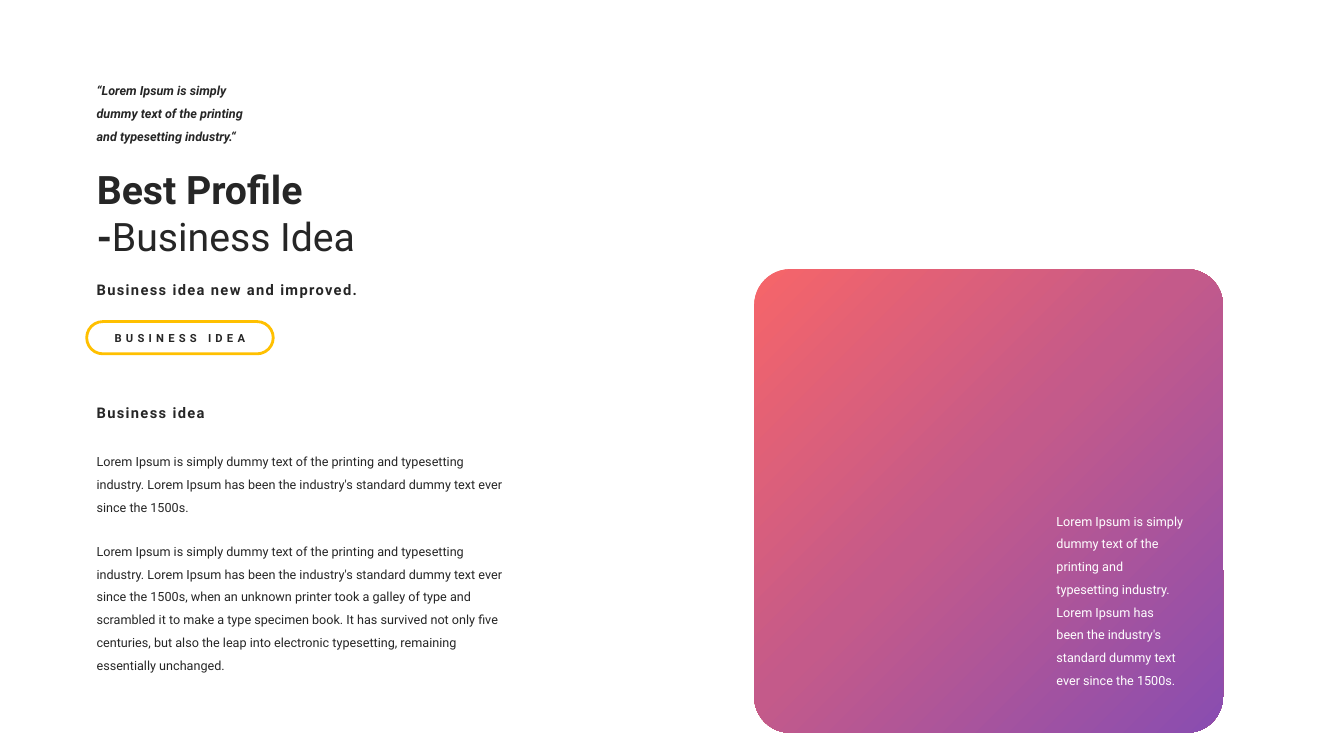
from copy import deepcopy
from dataclasses import dataclass

from pptx import Presentation
from pptx.dml.color import RGBColor
from pptx.enum.shapes import MSO_SHAPE
from pptx.enum.text import MSO_ANCHOR, MSO_AUTO_SIZE, PP_ALIGN
from pptx.oxml.ns import qn
from pptx.util import Inches, Pt


@dataclass(frozen=True)
class Theme:
    font: str = "Roboto"
    dark: str = "262626"
    white: str = "FFFFFF"
    accent: str = "FFC000"
    gradient: tuple = ((0, "F66569"), (0.47, "C45A8A"), (1, "894DB1"))
    title: float = 28
    heading: float = 10.5
    body: float = 9
    label: float = 8
    leading: float = 1.5


class SlideBuilder:
    def __init__(self, s, theme):
        self.s = s
        self.theme = theme

    def set_text(self, sp, runs, size, color=None, spacing=0, align=PP_ALIGN.LEFT,
                 anchor=MSO_ANCHOR.TOP, fit=MSO_AUTO_SIZE.SHAPE_TO_FIT_TEXT,
                 leading=None):
        """Fill a shape with one paragraph of (text, font format) runs."""
        tf = sp.text_frame
        frame = {"word_wrap": True, "auto_size": fit, "vertical_anchor": anchor}
        for name, value in frame.items():
            setattr(tf, name, value)
        p = tf.paragraphs[0]
        p.alignment = align
        if leading:
            p.line_spacing = leading
        base = {"name": self.theme.font, "size": Pt(size), "bold": False}
        for text, extra in runs:
            r = p.add_run()
            r.text = text
            for name, value in {**base, **extra}.items():
                setattr(r.font, name, value)
            r.font.color.rgb = RGBColor.from_string(color or self.theme.dark)
            if spacing:
                r._r.get_or_add_rPr().set("spc", str(spacing * 100))

    def title(self, box, runs):
        sp = self.s.shapes.title
        for name, value in zip(("left", "top", "width", "height"), box):
            setattr(sp, name, Inches(value))
        self.set_text(sp, runs, self.theme.title)

    def text(self, box, text, size, **style):
        sp = self.s.shapes.add_textbox(*map(Inches, box))
        font = style.pop("font", {})
        self.set_text(sp, [(text, font)], size, **style)

    def heading(self, box, text):
        self.text(box, text, self.theme.heading, font={"bold": True}, spacing=1)

    def body(self, box, text, **style):
        self.text(box, text, self.theme.body, leading=self.theme.leading, **style)

    def rounded(self, box, radius):
        sp = self.s.shapes.add_shape(MSO_SHAPE.ROUNDED_RECTANGLE, *map(Inches, box))
        sp.adjustments[0] = radius
        sp.shadow.inherit = False
        return sp

    def gradient_card(self, box, radius):
        sp = self.rounded(box, radius)
        sp.line.fill.background()
        sp.fill.gradient()
        sp.fill.gradient_angle = 315
        # The default gradient has two stops; add the middle one
        first = sp._element.spPr.find(".//" + qn("a:gs"))
        first.addnext(deepcopy(first))
        for stop, (position, color) in zip(sp.fill.gradient_stops, self.theme.gradient):
            stop.position = position
            stop.color.rgb = RGBColor.from_string(color)

    def pill(self, box, text):
        sp = self.rounded(box, 0.5)
        sp.fill.background()
        sp.line.color.rgb = RGBColor.from_string(self.theme.accent)
        sp.line.width = Pt(2)
        self.set_text(sp, [(text, {"bold": True})], self.theme.label, spacing=3,
                      align=PP_ALIGN.CENTER, anchor=MSO_ANCHOR.MIDDLE,
                      fit=MSO_AUTO_SIZE.NONE)


LEFT, COLUMN = 0.86, 4.23
OPENING = "Lorem Ipsum\u00a0is simply dummy text of the printing and typesetting industry."
HISTORY = " Lorem Ipsum has been the industry's standard dummy text ever since the 1500s"
SURVIVAL = (", when an unknown printer took a galley of type and scrambled it to make "
            "a type specimen book. It has survived not only five centuries, but also "
            "the leap into electronic typesetting, remaining essentially unchanged.")


def main():
    prs = Presentation()
    prs.slide_width, prs.slide_height = Inches(13.33), Inches(7.5)
    theme = Theme()
    slide = SlideBuilder(prs.slides.add_slide(prs.slide_layouts[5]), theme)

    # Gradient card
    slide.gradient_card((7.48, 2.67, 4.65, 4.6), 0.078)

    # Description
    slide.body((LEFT, 4.38, COLUMN, 0.76), OPENING + HISTORY + ".")
    slide.heading((LEFT, 3.96, COLUMN, 0.29), "Business idea")
    slide.body((LEFT, 5.27, COLUMN, 1.44), OPENING + HISTORY + SURVIVAL)

    # Quote, title and label
    slide.body((LEFT, 0.7, 1.85, 0.76), f"“{OPENING}“",
               font={"bold": True, "italic": True})
    slide.title((LEFT, 1.59, 3, 1.04),
                [("Best Profile -", {"bold": True}), ("Business Idea", {})])
    slide.heading((LEFT, 2.74, 3.09, 0.29), "Business idea new and improved.")
    slide.pill((LEFT, 3.19, 1.85, 0.32), "BUSINESS IDEA")

    # Text on the card
    slide.body((10.38, 4.97, 1.46, 1.89), OPENING + HISTORY + ".", color=theme.white)

    prs.save("out.pptx")


if __name__ == "__main__":
    main()
